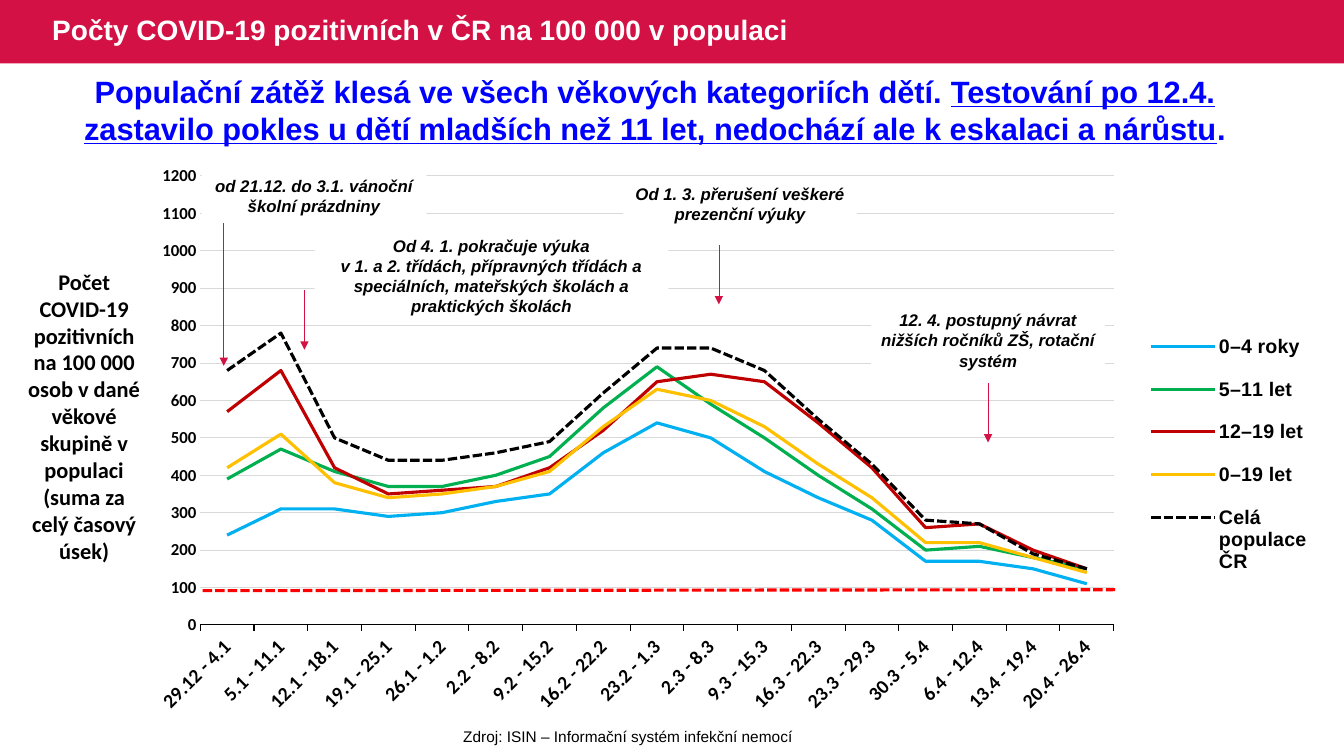
import lxml.etree
import pptx
import pptx.chart.data
import pptx.dml.color
import pptx.enum.chart
import pptx.enum.dml
import pptx.enum.shapes
import pptx.enum.text
import pptx.oxml
import pptx.oxml.ns
import pptx.util

Inches = pptx.util.Inches
Pt = pptx.util.Pt
CRIMSON, BLACK, WHITE = "D31145", "000000", "FFFFFF"
DASH = pptx.enum.dml.MSO_LINE.SQUARE_DOT
MIDDLE = pptx.enum.text.MSO_ANCHOR.MIDDLE
CENTER = pptx.enum.text.PP_ALIGN.CENTER
RECTANGLE = pptx.enum.shapes.MSO_SHAPE.RECTANGLE


def color(value):
    return pptx.dml.color.RGBColor.from_string(value)


def write(box, paragraphs, size, ink=BLACK, font="Arial", bold=True, italic=False, align=CENTER):
    """Fill a box with paragraphs, each a list of (text, underlined) runs."""
    frame = box.text_frame
    frame.word_wrap = True
    for index, runs in enumerate(paragraphs):
        para = frame.add_paragraph() if index else frame.paragraphs[0]
        para.alignment = align
        for text, underlined in runs:
            span = para.add_run()
            span.text = text
            span.font.name, span.font.size = font, Pt(size)
            span.font.bold, span.font.italic = bold, italic
            span.font.underline = underlined
            span.font.color.rgb = color(ink)


deck = pptx.Presentation()
deck.slide_width, deck.slide_height = Inches(13.33), Inches(7.5)
page = deck.slides.add_slide(deck.slide_layouts[6])
shapes = page.shapes

# Title band
band = shapes.add_shape(RECTANGLE, 0, 0, deck.slide_width, Inches(0.63))
band.shadow.inherit = False
band.fill.solid()
band.fill.fore_color.rgb = color(CRIMSON)
band.line.fill.background()
title = shapes.add_textbox(Inches(0.42), 0, Inches(8.37), Inches(0.63))
title.text_frame.vertical_anchor = MIDDLE
write(title, [[("Počty COVID-19 pozitivních v ČR na 100 000 v populaci", False)]], 20, WHITE,
      align=pptx.enum.text.PP_ALIGN.LEFT)
title.text_frame.paragraphs[0].line_spacing = 0.9

source = shapes.add_textbox(Inches(2.36), Inches(7.16), Inches(7.74), Inches(0.29))
write(source, [[("Zdroj: ISIN – Informační systém infekční nemocí", False)]], 11, bold=False)

# Line chart
series_rows = [
    ("0–4 roky", "00B0F0",
     [240, 310, 310, 290, 300, 330, 350, 460, 540, 500, 410, 340, 280, 170, 170, 150, 110]),
    ("5–11 let", "00B050",
     [390, 470, 410, 370, 370, 400, 450, 580, 690, 590, 500, 400, 310, 200, 210, 180, 150]),
    ("12–19 let", "C00000",
     [570, 680, 420, 350, 360, 370, 420, 520, 650, 670, 650, 540, 420, 260, 270, 200, 150]),
    ("0–19 let", "FFC000",
     [420, 510, 380, 340, 350, 370, 410, 530, 630, 600, 530, 430, 340, 220, 220, 180, 140]),
    ("Celá populace ČR", BLACK,
     [680, 780, 500, 440, 440, 460, 490, 620, 740, 740, 680, 550, 430, 280, 270, 190, 150]),
]
data = pptx.chart.data.CategoryChartData(number_format="###0")
data.categories = [
    "29.12 - 4.1", "5.1 - 11.1", "12.1 - 18.1", "19.1 - 25.1", "26.1 - 1.2", "2.2 - 8.2",
    "9.2 - 15.2", "16.2 - 22.2", "23.2 - 1.3", "2.3 - 8.3", "9.3 - 15.3", "16.3 - 22.3",
    "23.3 - 29.3", "30.3 - 5.4", "6.4 - 12.4", "13.4 - 19.4", "20.4 - 26.4"]
for name, ink, values in series_rows:
    data.add_series(name, values)
chart = shapes.add_chart(pptx.enum.chart.XL_CHART_TYPE.LINE, Inches(1.52), Inches(1.54),
                         Inches(11.66), Inches(5.87), data).chart
chart.has_title = False
chart.has_legend = True
chart.legend.position = pptx.enum.chart.XL_LEGEND_POSITION.RIGHT
chart.legend.include_in_layout = False
plot = chart.plots[0]
plot.vary_by_categories = False
for series, (name, ink, values) in zip(plot.series, series_rows):
    series.smooth = False
    series.marker.style = pptx.enum.chart.XL_MARKER_STYLE.NONE
    series.format.line.color.rgb = color(ink)
    series.format.line.width = Pt(2.25)
plot.series[-1].format.line.dash_style = DASH

weeks, counts = chart.category_axis, chart.value_axis
for font, face, size in [(chart.font, "Arial", 14), (chart.legend.font, "Arial", 14),
                         (weeks.tick_labels.font, "Calibri", 14),
                         (counts.tick_labels.font, "Calibri", 12)]:
    font.name, font.size, font.bold = face, Pt(size), True
    font.color.rgb = color(BLACK)
weeks.major_tick_mark = pptx.enum.chart.XL_TICK_MARK.OUTSIDE
weeks.format.line.color.rgb = color(BLACK)
weeks.format.line.width = Pt(0.75)
counts.major_tick_mark = pptx.enum.chart.XL_TICK_MARK.NONE
counts.minimum_scale, counts.maximum_scale, counts.major_unit = 0, 1200, 100
counts.tick_labels.number_format = "###0"
counts.tick_labels.number_format_is_linked = False
counts.format.line.fill.background()
counts.major_gridlines.format.line.color.rgb = color("D9D9D9")
counts.major_gridlines.format.line.width = Pt(0.75)

# Slanted week labels, fixed plot area and legend places
chart_xml = chart._chartSpace
chart_xml.xpath("//c:catAx/c:txPr/a:bodyPr")[0].set("rot", "-2700000")
qn = pptx.oxml.ns.qn
for tag, before, target, place in [
        ("c:plotArea", None, "inner", (0.04, 0.035, 0.777, 0.759)),
        ("c:legend", "c:legendPos", None, (0.84, 0.27, 0.15, 0.47))]:
    parent = chart_xml.xpath("//" + tag)[0]
    for old in parent.findall(qn("c:layout")):
        parent.remove(old)
    layout = lxml.etree.Element(qn("c:layout"))
    parent.insert(1 if before else 0, layout)
    manual = lxml.etree.SubElement(layout, qn("c:manualLayout"))
    settings = [("layoutTarget", target)] if target else []
    settings += [("xMode", "edge"), ("yMode", "edge")] + list(zip("xywh", place))
    for key, value in settings:
        lxml.etree.SubElement(manual, qn("c:" + key)).set("val", str(value))

axis_title = shapes.add_textbox(Inches(0.15), Inches(2.61), Inches(1.37), Inches(3.06))
write(axis_title, [[("Počet COVID-19 pozitivních na 100 000 osob v dané věkové skupině "
                     "v populaci (suma za celý časový úsek)", False)]], 16, font="Calibri")

headline = shapes.add_textbox(Inches(0.29), Inches(0.67), Inches(12.41), Inches(0.84))
write(headline, [[
    ("Populační zátěž klesá ve všech věkových kategoriích dětí. ", False),
    ("Testování po 12.4. zastavilo pokles u dětí mladších než 11 let, "
     "nedochází ale k eskalaci a nárůstu", True),
    (".", False)]], 22, "0000FF")

# Event notes on the chart
notes = [
    (2, 1.69, 2.23, 0.5, ["od 21.12. do 3.1. vánoční školní prázdniny"]),
    (6.18, 1.77, 2.32, 0.5, ["Od 1. 3. přerušení veškeré prezenční výuky"]),
    (3.12, 2.28, 3.51, 0.91, [
        "Od 4. 1. pokračuje výuka",
        "v 1. a 2. třídách, přípravných třídách a speciálních, mateřských školách "
        "a praktických školách"]),
    (8.64, 3.02, 2.32, 0.71, ["12. 4. postupný návrat nižších ročníků ZŠ, rotační systém"]),
]
for left, top, width, height, texts in notes:
    note = shapes.add_shape(RECTANGLE, Inches(left), Inches(top), Inches(width), Inches(height))
    note.shadow.inherit = False
    note.fill.solid()
    note.fill.fore_color.rgb = color(WHITE)
    note.line.fill.background()
    note.text_frame.vertical_anchor = MIDDLE
    write(note, [[(text, False)] for text in texts], 12, italic=True)

# Event arrows and the dashed threshold
lines = [
    (2.22, 2.21, 2.22, 3.63, CRIMSON, 0.5),
    (3.02, 2.88, 3.02, 3.47, CRIMSON, 0.5),
    (7.13, 2.43, 7.13, 3.02, CRIMSON, 0.5),
    (9.8, 3.8, 9.8, 4.39, CRIMSON, 0.5),
    (2.01, 5.86, 11.06, 5.85, "FF0000", 2.25),
]
for x1, y1, x2, y2, ink, weight in lines:
    line = shapes.add_connector(pptx.enum.shapes.MSO_CONNECTOR.STRAIGHT,
                                Inches(x1), Inches(y1), Inches(x2), Inches(y2))
    line.line.color.rgb = color(ink)
    line.line.width = Pt(weight)
    if ink == CRIMSON:
        head = lxml.etree.SubElement(line.line._get_or_add_ln(), qn("a:tailEnd"))
        head.set("type", "triangle")
    else:
        line.line.dash_style = DASH
    lxml.etree.SubElement(line._element.spPr, qn("a:effectLst"))

deck.save("out.pptx")
